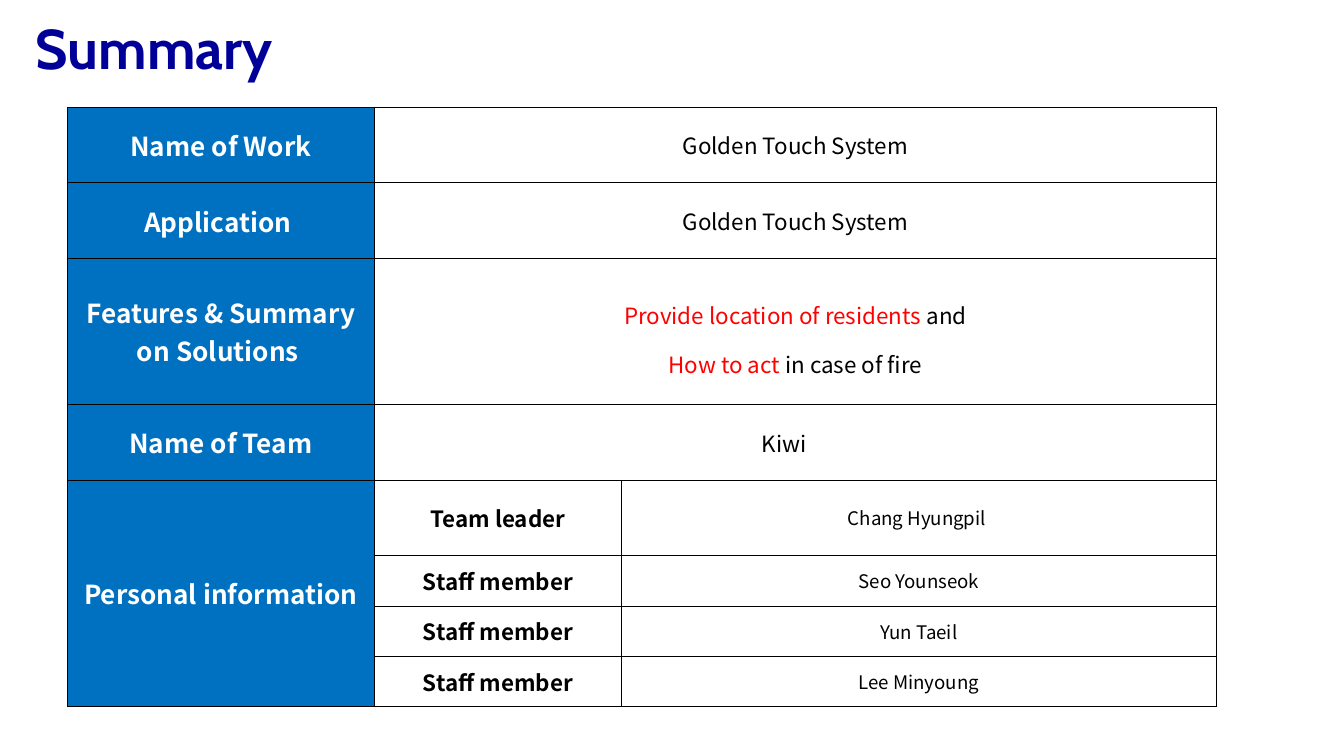
from lxml import etree
from pptx import Presentation
from pptx import util as u
from pptx.dml.color import RGBColor
from pptx.enum import text
from pptx.oxml.ns import qn

Pt = u.Pt

# Content: a paragraph is a list of (words, style) runs
TITLE = "Summary"
WORK_ROWS = [
    ("Name of Work", [[("Golden Touch System", "value")]]),
    ("Application ", [[("Golden Touch System", "value")]]),
    ("Features & Summary on Solutions ", [
        [("Provide location of residents ", "key"), ("and", "feature")],
        [("How to act ", "key"), ("in case of fire", "feature")],
    ]),
    ("Name of Team", [[("Kiwi　", "value")]]),
]
PEOPLE_LABEL = "Personal information "
PEOPLE = [
    ("Team leader", "Chang Hyungpil "),
    ("Staff member", "Seo Younseok"),
    ("Staff member", "Yun Taeil"),
    ("Staff member", "Lee Minyoung"),
]

# Theme
TC, KR = "Noto Sans CJK TC", "Noto Sans CJK KR"
THEME = {
    "label_fill": "0070C0",
    "value_fill": "FFFFFF",
    "border": "000000",
    "border_width": 0.45,
    "title": {"name": "Cabin", "size": 30, "bold": True, "color": "000099"},
    "label": {"name": TC, "size": 14, "bold": True, "color": "FFFFFF"},
    "value": {"name": TC, "size": 12, "bold": False, "color": "000000"},
    "key": {"name": KR, "size": 12, "bold": False, "color": "FF0000"},
    "feature": {"name": KR, "size": 12, "bold": False, "color": "000000"},
    "role": {"name": TC, "size": 12, "bold": True, "color": "000000"},
    "person": {"name": TC, "size": 10, "bold": False, "color": "000000"},
}

# Layout, in points
SLIDE_SIZE = (720, 405)
TITLE_BOX = (12, 3.6, 227, 43.2)
TABLE_ORIGIN = (36.1, 57.5)
COLUMNS = [164.5, 132.3, 318.7]
ROW, TALL_ROW, SHORT_ROW = 40.5, 78.3, 27
ROWS = [ROW, ROW, TALL_ROW, ROW, ROW] + [SHORT_ROW] * 3
NARROW, WIDE = 0.72, 8.64


def style_font(font, style):
    values = dict(THEME[style])
    font.color.rgb = RGBColor.from_string(values.pop("color"))
    values["size"] = Pt(values["size"])
    for name, value in values.items():
        setattr(font, name, value)


def add_borders(cell):
    properties = cell._tc.get_or_add_tcPr()
    for index, side in enumerate(("lnL", "lnR", "lnT", "lnB")):
        line = etree.Element(qn(f"a:{side}"), w=str(Pt(THEME["border_width"])))
        fill = etree.SubElement(line, qn("a:solidFill"))
        etree.SubElement(fill, qn("a:srgbClr"), val=THEME["border"])
        properties.insert(index, line)


def fill_cell(cell, paragraphs, fill, margin):
    cell.fill.solid()
    cell.fill.fore_color.rgb = RGBColor.from_string(THEME[fill])
    formats = {
        "vertical_anchor": text.MSO_ANCHOR.MIDDLE,
        "margin_left": Pt(margin), "margin_right": Pt(margin),
        "margin_top": Pt(3.6), "margin_bottom": Pt(3.6),
    }
    for name, value in formats.items():
        setattr(cell, name, value)
    frame = cell.text_frame
    for index, runs in enumerate(paragraphs):
        paragraph = frame.add_paragraph() if index else frame.paragraphs[0]
        paragraph.alignment = text.PP_ALIGN.CENTER
        if len(paragraphs) > 1:
            paragraph.line_spacing = 1.5
        for words, style in runs:
            run = paragraph.add_run()
            run.text = words
            style_font(run.font, style)


presentation = Presentation()
presentation.slide_width, presentation.slide_height = map(Pt, SLIDE_SIZE)
slide = presentation.slides.add_slide(presentation.slide_layouts[5])

# Title
title = slide.shapes.title
title.left, title.top, title.width, title.height = map(Pt, TITLE_BOX)
title.text_frame.text = TITLE
title.text_frame.auto_size = text.MSO_AUTO_SIZE.NONE
title.text_frame.vertical_anchor = text.MSO_ANCHOR.TOP
heading = title.text_frame.paragraphs[0]
heading.alignment = text.PP_ALIGN.LEFT
style_font(heading.runs[0].font, "title")

# Table grid
size = (sum(COLUMNS), sum(ROWS))
table = slide.shapes.add_table(
    len(ROWS), len(COLUMNS), *map(Pt, TABLE_ORIGIN + size)).table
table.first_row = table.horz_banding = False
for column, width in zip(table.columns, COLUMNS):
    column.width = Pt(width)
for row, height in zip(table.rows, ROWS):
    row.height = Pt(height)

# Work rows: a label and a value across two columns
for index, (label, paragraphs) in enumerate(WORK_ROWS):
    table.cell(index, 1).merge(table.cell(index, 2))
    fill_cell(table.cell(index, 0), [[(label, "label")]], "label_fill", NARROW)
    fill_cell(table.cell(index, 1), paragraphs, "value_fill", WIDE)

# People rows: one label down the side of all of them
first = len(WORK_ROWS)
table.cell(first, 0).merge(table.cell(len(ROWS) - 1, 0))
fill_cell(table.cell(first, 0), [[(PEOPLE_LABEL, "label")]], "label_fill", WIDE)
for index, (role, person) in enumerate(PEOPLE, first):
    fill_cell(table.cell(index, 1), [[(role, "role")]], "value_fill", NARROW)
    fill_cell(table.cell(index, 2), [[(person, "person")]], "value_fill", NARROW)

# Borders
for cell in table.iter_cells():
    add_borders(cell)

presentation.save("out.pptx")
